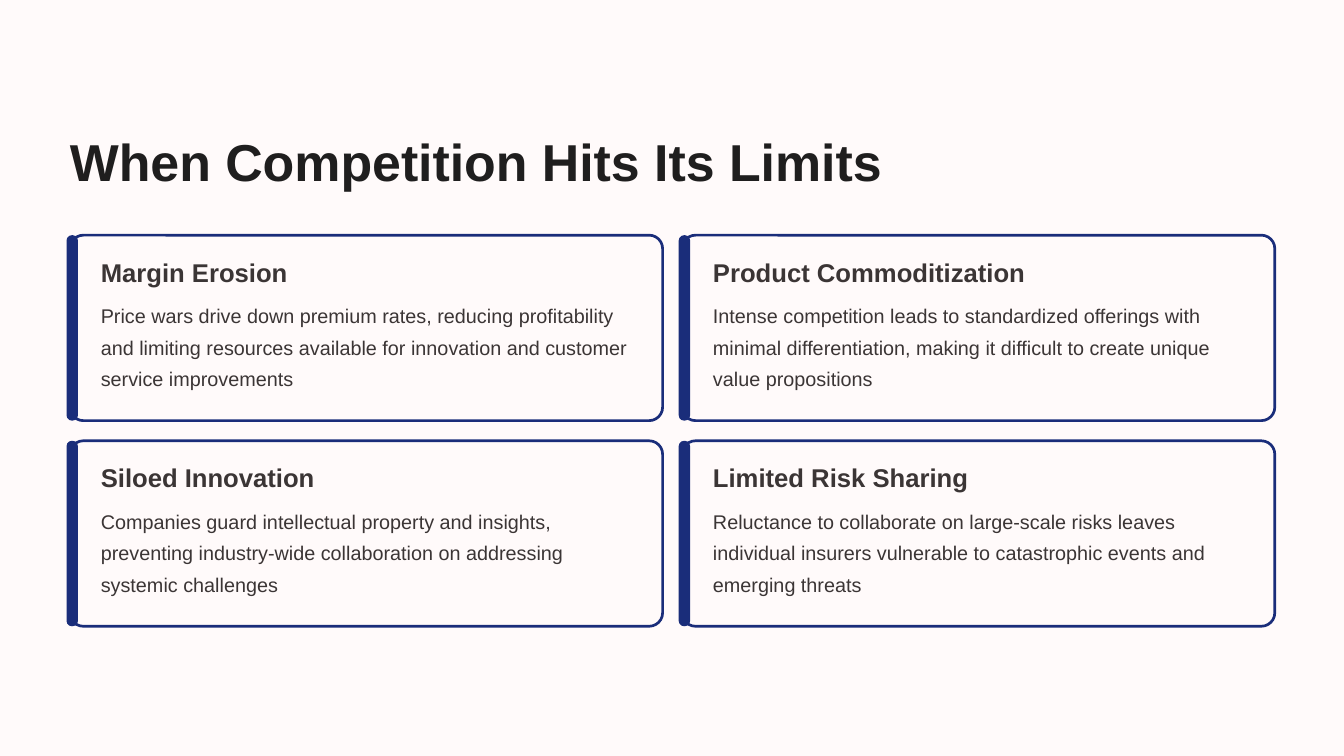
from pptx import Presentation
from pptx.dml.color import RGBColor
from pptx.enum.shapes import MSO_SHAPE
from pptx.enum.text import MSO_ANCHOR, PP_ALIGN
from pptx.util import Inches, Pt

ROUNDED = MSO_SHAPE.ROUNDED_RECTANGLE
TOP = MSO_ANCHOR.TOP
LEFT = PP_ALIGN.LEFT
TITLE_ONLY = 5

COLORS = {"page": "FFFAFA", "navy": "1A2D7A", "title": "1F1E1E", "body": "3B3535"}
FONT = "Arial"

# Card grid
GRID_LEFT, GRID_TOP = 1.04, 3.5
CARD_WIDTH, CARD_HEIGHT = 8.82, 2.76
STEP_X, STEP_Y = 9.11, 3.06
COLUMNS = 2

CARDS = [
    ("Margin Erosion",
     "Price wars drive down premium rates, reducing profitability and limiting "
     "resources available for innovation and customer service improvements"),
    ("Product Commoditization",
     "Intense competition leads to standardized offerings with minimal "
     "differentiation, making it difficult to create unique value propositions"),
    ("Siloed Innovation",
     "Companies guard intellectual property and insights, preventing "
     "industry-wide collaboration on addressing systemic challenges"),
    ("Limited Risk Sharing",
     "Reluctance to collaborate on large-scale risks leaves individual insurers "
     "vulnerable to catastrophic events and emerging threats"),
]


def color(name):
    return RGBColor.from_string(COLORS[name])


def write(box, text, *, size, spacing, ink="body", bold=False):
    """Fill a text shape with one formatted paragraph and no insets."""
    frame = box.text_frame
    frame.word_wrap = True
    frame.vertical_anchor = TOP
    frame.margin_left = frame.margin_right = 0
    frame.margin_top = frame.margin_bottom = 0
    para = frame.paragraphs[0]
    para.alignment = LEFT
    para.line_spacing = Pt(spacing)
    span = para.add_run()
    span.text = text
    span.font.name = FONT
    span.font.size = Pt(size)
    span.font.bold = bold
    span.font.color.rgb = color(ink)


class Page:
    def __init__(self, deck):
        self.slide = deck.slides.add_slide(deck.slide_layouts[TITLE_ONLY])
        background = self.slide.background.fill
        background.solid()
        background.fore_color.rgb = color("page")

    def title(self, text, left, top, width, height):
        box = self.slide.shapes.title
        box.left, box.top = Inches(left), Inches(top)
        box.width, box.height = Inches(width), Inches(height)
        write(box, text, size=55.6, spacing=70, ink="title", bold=True)

    def text(self, text, left, top, width, height, **style):
        box = self.slide.shapes.add_textbox(
            Inches(left), Inches(top), Inches(width), Inches(height))
        write(box, text, **style)

    def panel(self, left, top, width, height, radius, fill, line=None):
        shape = self.slide.shapes.add_shape(
            ROUNDED, Inches(left), Inches(top), Inches(width), Inches(height))
        shape.adjustments[0] = radius / min(width, height)
        shape.shadow.inherit = False
        shape.fill.solid()
        shape.fill.fore_color.rgb = color(fill)
        if line:
            shape.line.color.rgb = color(line)
            shape.line.width = Pt(2.88)
        else:
            shape.line.fill.background()

    def card(self, heading, body, left, top):
        # Outlined panel with an accent bar on its left edge
        self.panel(left, top, CARD_WIDTH, CARD_HEIGHT, 0.2, "page", line="navy")
        self.panel(left - 0.05, top, 0.17, CARD_HEIGHT, 0.08, "navy")
        # Heading and description
        self.text(heading, left + 0.46, top + 0.29, 8.01, 0.53,
                  size=27.5, spacing=35, bold=True)
        self.text(body, left + 0.46, top + 0.91, 8.01, 1.52,
                  size=21.2, spacing=33.7)


def main():
    deck = Presentation()
    deck.slide_width, deck.slide_height = Inches(20), Inches(11.25)
    page = Page(deck)
    page.title("When Competition Hits Its Limits", 1.04, 1.89, 13.16, 1.02)

    for index, (heading, body) in enumerate(CARDS):
        row, column = divmod(index, COLUMNS)
        page.card(heading, body,
                  GRID_LEFT + column * STEP_X, GRID_TOP + row * STEP_Y)

    deck.save("out.pptx")


if __name__ == "__main__":
    main()
